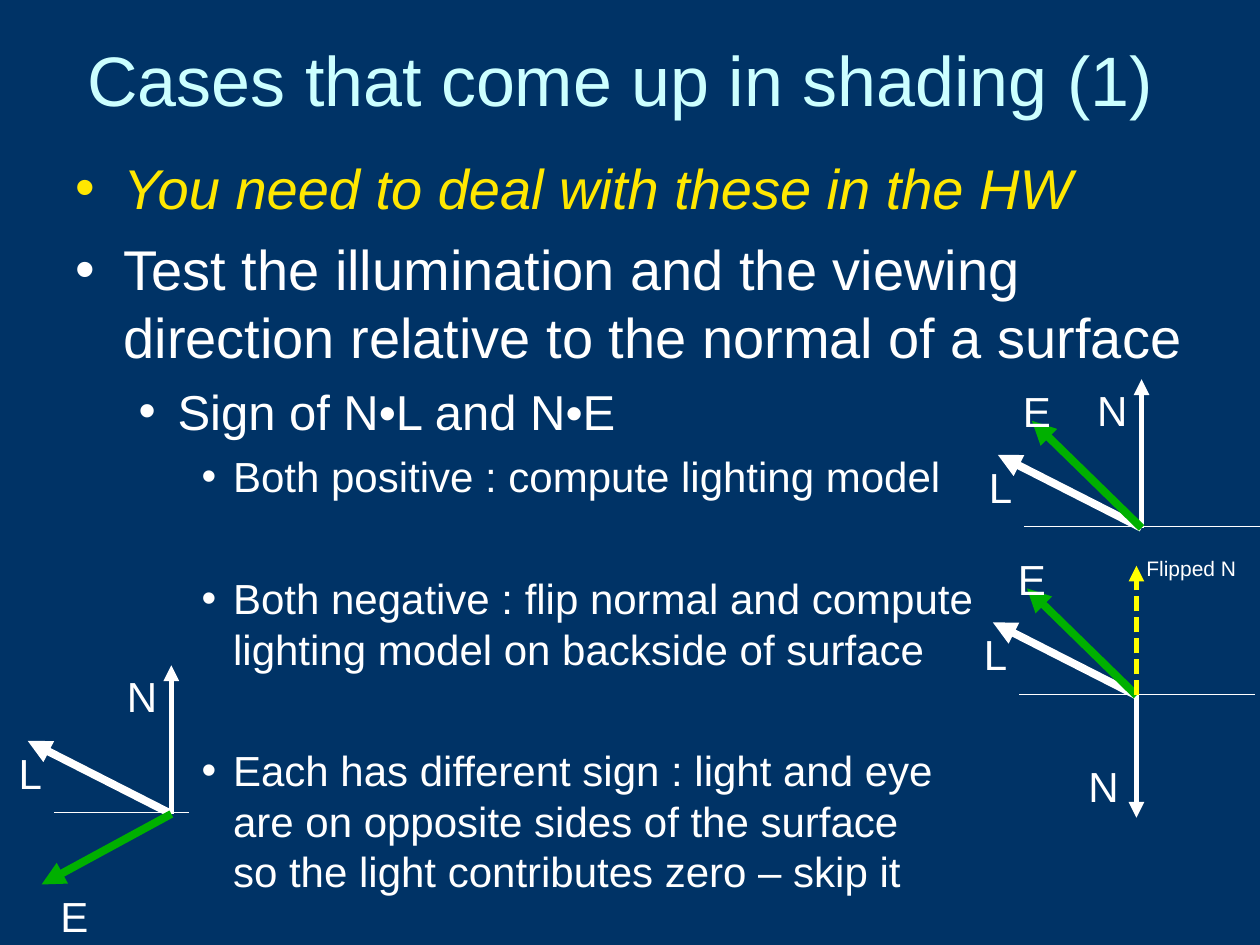
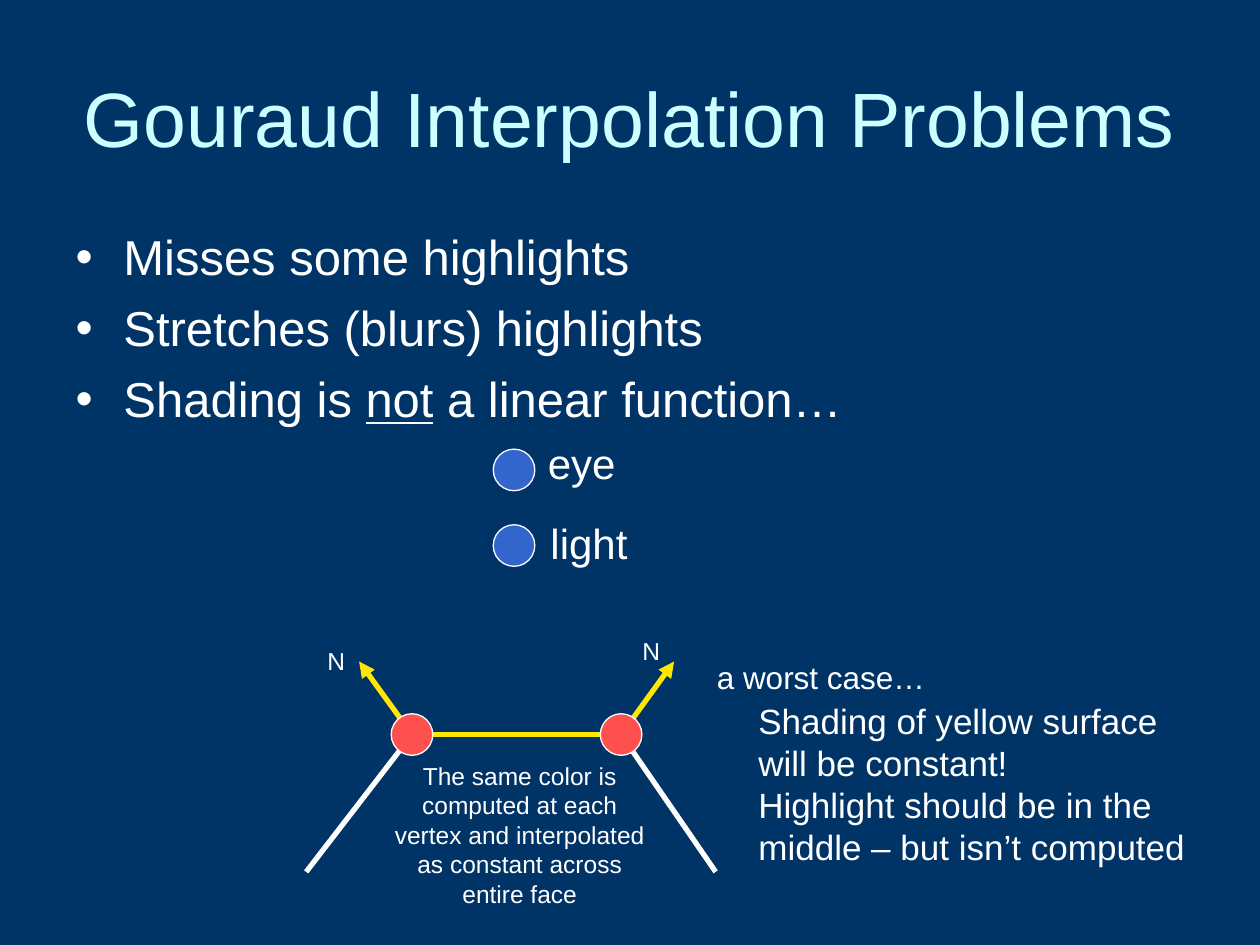
"""Builds two slides on shading cases and Gouraud interpolation."""
from dataclasses import dataclass
from typing import NamedTuple

from lxml import etree
from pptx import Presentation
from pptx.dml.color import RGBColor
from pptx.enum.dml import MSO_LINE
from pptx.enum.shapes import MSO_CONNECTOR, MSO_SHAPE
from pptx.enum.text import MSO_ANCHOR, MSO_AUTO_SIZE, PP_ALIGN
from pptx.oxml.ns import qn
from pptx.util import Inches, Pt

LEFT, CENTER = PP_ALIGN.LEFT, PP_ALIGN.CENTER
MIDDLE, TOP = MSO_ANCHOR.MIDDLE, MSO_ANCHOR.TOP
NO_FIT, GROW = MSO_AUTO_SIZE.NONE, MSO_AUTO_SIZE.SHAPE_TO_FIT_TEXT
STRAIGHT, OVAL = MSO_CONNECTOR.STRAIGHT, MSO_SHAPE.OVAL
SHORT_DASH = MSO_LINE.SQUARE_DOT

COLORS = {
    "background": "003366", "title": "CCFFFF", "text": "FFFFFF",
    "accent": "FFE701", "eye_ray": "00B000", "flipped": "FFFF00",
    "source": "3366CC", "vertex": "FF5050",
}
FONT = "Arial"
LINE_HEIGHT = 1.2
INDENTS = [(0.38, 0.38), (0.81, 0.31), (1.25, 0.25)]
DOT = 0.33


class Point(NamedTuple):
    """A place or an offset in inches."""
    x: float
    y: float

    def shifted(self, offset: "Point") -> "Point":
        """Return this point moved by an offset."""
        return Point(self.x + offset.x, self.y + offset.y)


class Area(NamedTuple):
    """A rectangle in inches."""
    left: float
    top: float
    width: float
    height: float


class Span(NamedTuple):
    """A run of text with its emphasis."""
    text: str
    italic: bool = False
    underline: bool = False


@dataclass(frozen=True)
class Bullet:
    """A list item."""
    spans: list[Span]
    size: int
    level: int = 0
    before: float = 0
    color: str = "text"


@dataclass(frozen=True)
class Label:
    """A free text box."""
    area: Area
    lines: list[str]
    size: int = 24
    wrap: bool = False
    align: PP_ALIGN = LEFT


@dataclass(frozen=True)
class ShadingCase:
    """A surface point with its normal, light and eye rays, as offsets from it."""
    origin: Point
    normal_tip: Point
    normal_label: Point
    eye_tip: Point
    eye_label: Point
    ground_right: float
    flipped: bool = False


UP, EYE_ABOVE, EYE_ABOVE_LABEL = Point(0, -1.18), Point(-0.87, -0.85), Point(-1.04, -1.18)
UP_LABEL = Point(-0.45, -1.19)
LIGHT_TIP, LIGHT_LABEL = Point(-1.14, -0.58), Point(-1.31, -0.58)
FLIPPED_TIP = Point(0, -1.03)

CASES = [
    ShadingCase(Point(9.06, 4.19), UP, UP_LABEL, EYE_ABOVE, EYE_ABOVE_LABEL, 0.94),
    ShadingCase(Point(9.02, 5.52), Point(0, 0.97), Point(-0.48, 0.47),
                EYE_ABOVE, EYE_ABOVE_LABEL, 0.94, True),
    ShadingCase(Point(1.36, 6.46), UP, UP_LABEL, Point(-1.03, 0.56), Point(-0.98, 0.56), 0.14),
]

CASE_BULLETS = [
    Bullet([Span("You need to deal with these in the HW", italic=True)], 32, color="accent"),
    Bullet([Span("Test the illumination and the viewing direction relative to "
                 "the normal of a surface")], 32, before=8),
    Bullet([Span("Sign of N•L and N•E")], 28, 1, 7),
    Bullet([Span("Both positive : compute lighting model")], 24, 2, 6),
    Bullet([Span("Both negative : flip normal and compute\n"
                 "lighting model on backside of surface")], 24, 2, 40.8),
    Bullet([Span("Each has different sign : light and eye\nare on opposite sides of the surface\n"
                 "so the light contributes zero – skip it")], 24, 2, 40.8),
]
PROBLEM_BULLETS = [
    Bullet([Span("Misses some highlights")], 28),
    Bullet([Span("Stretches (blurs) highlights")], 28, before=7),
    Bullet([Span("Shading is "), Span("not", underline=True),
            Span(" a linear function…")], 28, before=7),
]

LEFT_VERTEX, RIGHT_VERTEX = Point(3.27, 5.83), Point(4.93, 5.83)
EYE, LIGHT = Point(4.08, 3.73), Point(4.08, 4.33)
PROBLEM_LABELS = [
    Label(Area(4.25, 3.42, 0.74, 0.5), ["eye"]),
    Label(Area(4.27, 4.06, 0.81, 0.5), ["light"]),
    Label(Area(5.92, 5.5, 3.75, 1.44),
          ["Shading of yellow surface", "will be constant!",
           "Highlight should be in the middle – but isn’t computed"], 20, True),
    Label(Area(5.59, 5.17, 1.85, 0.4), ["a worst case…"], 18),
    Label(Area(3, 5.99, 2.25, 1.27),
          ["The same color is computed at each vertex and interpolated as "
           "constant across entire face"], 14, True, CENTER),
    Label(Area(2.5, 5.08, 0.42, 0.34), ["N"], 14, True),
    Label(Area(5, 5, 0.42, 0.34), ["N"], 14, True),
]


def rgb(name: str) -> RGBColor:
    """Return a palette colour."""
    return RGBColor.from_string(COLORS[name])


def add_span(para, span: Span, size: int, color: str) -> None:
    """Add one formatted run, turning newlines into line breaks."""
    para.line_spacing = Pt(size * LINE_HEIGHT)
    for index, piece in enumerate(span.text.split("\n")):
        if index:
            para.add_line_break()
        run = para.add_run()
        run.text = piece
        run.font.name, run.font.size = FONT, Pt(size)
        run.font.color.rgb = rgb(color)
        run.font.italic = span.italic
        run.font.underline = span.underline


def place(shape, area: Area) -> None:
    """Move and size a shape."""
    shape.left, shape.top, shape.width, shape.height = map(Inches, area)


def set_bullet(para, bullet: Bullet) -> None:
    """Give a paragraph its indent and bullet mark."""
    margin, hanging = INDENTS[bullet.level]
    props = para._p.get_or_add_pPr()
    props.set("marL", str(Inches(margin)))
    props.set("indent", str(-Inches(hanging)))
    color = etree.SubElement(props, qn("a:buClr"))
    etree.SubElement(color, qn("a:srgbClr"), val=COLORS[bullet.color])
    etree.SubElement(props, qn("a:buFont"), typeface=FONT)
    etree.SubElement(props, qn("a:buChar"), char="•")


def add_page(deck, title: str, title_area: Area, title_size: int,
             body_area: Area, bullets: list[Bullet]):
    """Add a slide with its title and bullet list."""
    page = deck.slides.add_slide(deck.slide_layouts[1])
    heading, body = page.shapes.title, page.placeholders[1]
    for holder, area, anchor in ((heading, title_area, MIDDLE), (body, body_area, TOP)):
        place(holder, area)
        holder.text_frame.auto_size = NO_FIT
        holder.text_frame.vertical_anchor = anchor
    para = heading.text_frame.paragraphs[0]
    para.alignment = CENTER
    add_span(para, Span(title), title_size, "title")
    for index, bullet in enumerate(bullets):
        frame = body.text_frame
        para = frame.add_paragraph() if index else frame.paragraphs[0]
        para.level = bullet.level
        set_bullet(para, bullet)
        para.space_before = Pt(bullet.before)
        for span in bullet.spans:
            add_span(para, span, bullet.size, bullet.color)
    return page


def add_label(page, label: Label) -> None:
    """Add a free text box."""
    box = page.shapes.add_textbox(*map(Inches, label.area))
    frame = box.text_frame
    frame.word_wrap, frame.auto_size = label.wrap, GROW
    for index, line in enumerate(label.lines):
        para = frame.add_paragraph() if index else frame.paragraphs[0]
        para.alignment = label.align
        add_span(para, Span(line), label.size, "text")


def add_line(page, start: Point, end: Point, color: str = "text", weight: float = 3,
             arrow: bool = False, dashed: bool = False) -> None:
    """Add a straight line, with an arrowhead at its end if asked."""
    link = page.shapes.add_connector(STRAIGHT, *map(Inches, (*start, *end)))
    link.line.color.rgb, link.line.width = rgb(color), Pt(weight)
    if dashed:
        link.line.dash_style = SHORT_DASH
    if arrow:
        etree.SubElement(link.line._get_or_add_ln(), qn("a:tailEnd"), type="triangle")
    etree.SubElement(link._element.spPr, qn("a:effectLst"))


def add_dot(page, center: Point, color: str) -> None:
    """Add a round marker."""
    area = Area(center.x - DOT / 2, center.y - DOT / 2, DOT, DOT)
    dot = page.shapes.add_shape(OVAL, *map(Inches, area))
    dot.shadow.inherit = False
    dot.fill.solid()
    dot.fill.fore_color.rgb = rgb(color)
    dot.line.color.rgb, dot.line.width = rgb("text"), Pt(0.75)


def draw_case(page, case: ShadingCase) -> None:
    """Draw the rays, surface and letters of one shading case."""
    origin = case.origin
    add_line(page, origin, origin.shifted(case.normal_tip), arrow=True)
    add_line(page, origin, origin.shifted(LIGHT_TIP), weight=4.5, arrow=True)
    add_line(page, origin.shifted(Point(-0.93, -0.01)),
             origin.shifted(Point(case.ground_right, -0.01)), weight=0.75)
    add_line(page, origin, origin.shifted(case.eye_tip), "eye_ray", 4.5, arrow=True)
    for letter, offset, width in (("N", case.normal_label, 0.44), ("L", LIGHT_LABEL, 0.38),
                                  ("E", case.eye_label, 0.42)):
        add_label(page, Label(Area(*origin.shifted(offset), width, 0.5), [letter]))
    if case.flipped:
        add_line(page, origin, origin.shifted(FLIPPED_TIP), "flipped", arrow=True, dashed=True)


def build_cases(deck) -> None:
    """Build the slide on shading cases."""
    page = add_page(deck, "Cases that come up in shading (1)", Area(0.17, 0, 9.5, 1.25), 40,
                    Area(0.5, 1.17, 9.17, 6), CASE_BULLETS)
    for case in CASES:
        draw_case(page, case)
    add_label(page, Label(Area(9, 4.36, 0.92, 0.3), ["Flipped N"], 12, True))


def build_problems(deck) -> None:
    """Build the slide on interpolation problems."""
    page = add_page(deck, "Gouraud Interpolation Problems", Area(0.5, 0.3, 9, 1.25), 44,
                    Area(0.5, 1.75, 9, 4.95), PROBLEM_BULLETS)
    add_line(page, LEFT_VERTEX, Point(2.43, 6.92))
    add_line(page, LEFT_VERTEX, RIGHT_VERTEX, "accent")
    add_line(page, RIGHT_VERTEX, Point(5.68, 6.92))
    for vertex, lean in ((LEFT_VERTEX, -0.42), (RIGHT_VERTEX, 0.42)):
        add_line(page, vertex, vertex.shifted(Point(lean, -0.58)), "accent", arrow=True)
        add_dot(page, vertex, "vertex")
    for source in (EYE, LIGHT):
        add_dot(page, source, "source")
    for label in PROBLEM_LABELS:
        add_label(page, label)


def main() -> None:
    """Build and save the deck."""
    deck = Presentation()
    deck.slide_width, deck.slide_height = Inches(10), Inches(7.5)
    backdrop = deck.slide_master.background.fill
    backdrop.solid()
    backdrop.fore_color.rgb = rgb("background")
    build_cases(deck)
    build_problems(deck)
    deck.save("out.pptx")


if __name__ == "__main__":
    main()
